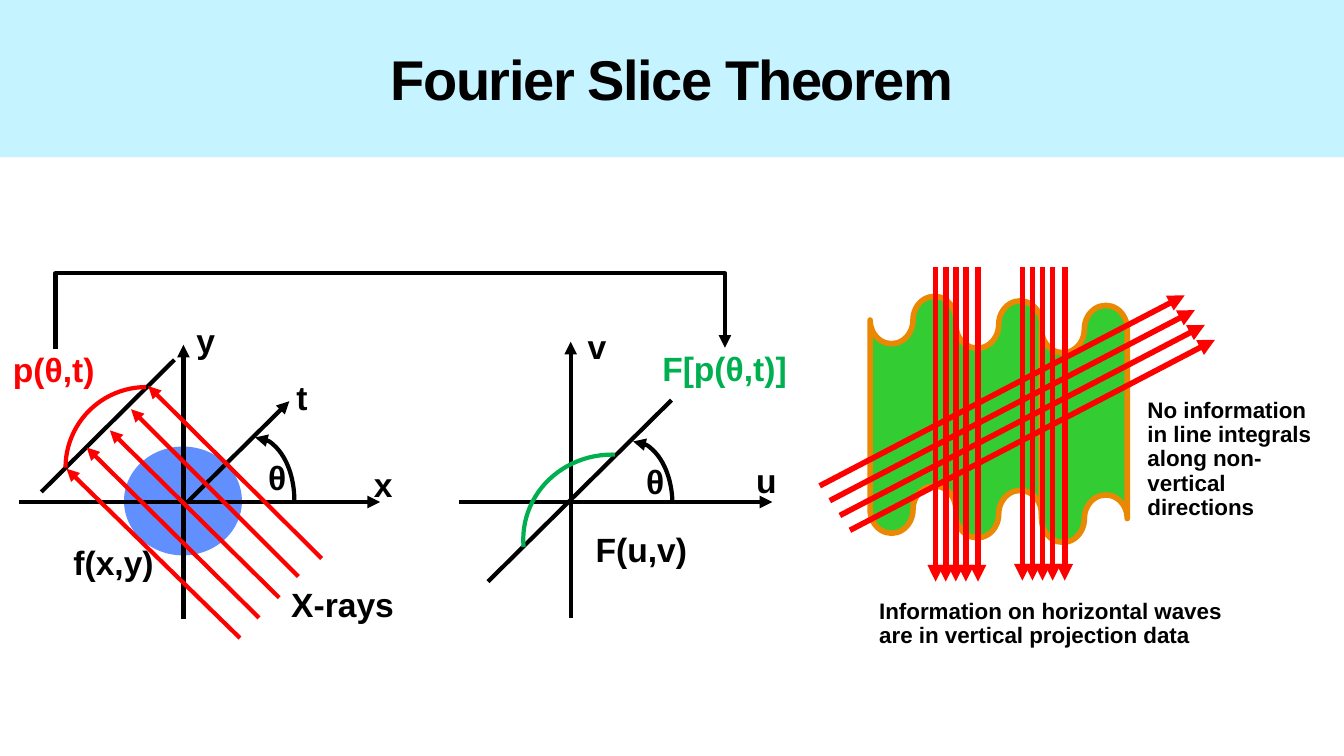
from lxml import etree
from pptx import Presentation
from pptx import util as u
from pptx.dml.color import RGBColor
from pptx.enum import shapes, text
from pptx.oxml.ns import qn

BLACK = RGBColor(0x00, 0x00, 0x00)
RED = RGBColor(0xFF, 0x00, 0x00)
GREEN = RGBColor(0x00, 0xB0, 0x50)
BLUE = RGBColor(0x61, 0x8F, 0xFD)
BAND = RGBColor(0xC5, 0xF3, 0xFF)
TAPE_FILL = RGBColor(0x33, 0xCC, 0x33)
TAPE_EDGE = RGBColor(0xEB, 0x88, 0x03)

# Content: labels are (text, left, top, width, colour)
TITLE = "Fourier Slice Theorem"
LABELS = [
    ("v", 5.73, 3.23, 0.39, BLACK),
    ("u", 7.4, 4.56, 0.41, BLACK),
    ("θ", 6.31, 4.57, 0.38, BLACK),
    ("F(u,v)", 5.81, 5.24, 1.12, BLACK),
    ("F[p(θ,t)]", 6.47, 3.45, 1.45, GREEN),
    ("p(θ,t)", 0.03, 3.46, 1.02, RED),
    ("f(x,y)", 0.63, 5.37, 1.0, BLACK),
    ("t", 2.84, 3.74, 0.31, BLACK),
    ("θ", 2.56, 4.53, 0.38, BLACK),
    ("y", 1.85, 3.17, 0.39, BLACK),
    ("x", 3.61, 4.6, 0.39, BLACK),
    ("X-rays", 2.79, 5.79, 1.23, BLACK),
]
# Captions are (text, left, top, width, height)
CAPTIONS = [
    ("No information in line integrals along non-vertical directions",
     11.29, 3.92, 2.01, 0.81),
    ("Information on horizontal waves are in vertical projection data",
     8.63, 5.91, 3.8, 0.57),
]
# Lines are (start, end, arrow at end)
FREQUENCY_LINES = [
    ((4.55, 4.98), (7.66, 4.98), True),
    ((5.66, 6.13), (5.66, 3.39), True),
    ((4.84, 5.77), (6.66, 3.97), False),
]
SPACE_LINES = [
    ((0.19, 4.98), (3.77, 4.98), True),
    ((1.82, 6.14), (1.82, 3.42), True),
    ((1.85, 4.99), (2.87, 3.98), True),
    ((1.73, 3.57), (0.41, 4.88), False),
]
XRAYS = [
    ((3.19, 5.54), (1.47, 3.83)),
    ((2.96, 5.72), (1.3, 4.06)),
    ((2.77, 5.93), (1.09, 4.27)),
    ((2.57, 6.13), (0.86, 4.44)),
    ((2.38, 6.33), (0.66, 4.65)),
]
# Arcs are (centre x, centre y, x radius, y radius, from, to, colour, arrow)
ARCS = [
    (6.28, 5.01, 0.39, 0.63, 270, 354, BLACK, True),
    (6.07, 5.35, 0.88, 0.84, 175, 272, GREEN, False),
    (1.45, 4.64, 0.8, 0.8, 180, 270, RED, False),
    (2.53, 4.97, 0.39, 0.63, 270, 0, BLACK, True),
]
TAPE_COUNT, TAPE_WIDTH, TAPE_HEIGHT, TAPE_DROP = 3, 0.85, 2.35, 0.045
RAY_OFFSETS = (0, 0.1, 0.2, 0.3, 0.42)
RAY_BUNDLES = [(9.28, 5.77), (10.14, 5.76)]  # first x, tip y
SLANTED_COUNT = 4

deck = Presentation()
deck.slide_width, deck.slide_height = u.Inches(13.33), u.Inches(7.5)
page = deck.slides.add_slide(deck.slide_layouts[5])


def inches(*values):
    return [u.Inches(value) for value in values]


def set_all(target, values):
    for name, value in values.items():
        setattr(target, name, value)


def style_line(item, colour, points, arrow=None):
    item.line.color.rgb = colour
    item.line.width = u.Pt(points)
    if arrow:
        etree.SubElement(item.line._get_or_add_ln(), qn(f"a:{arrow}End"), type="triangle")


def add_line(start, end, colour=BLACK, points=3, arrow=True,
             kind=shapes.MSO_CONNECTOR.STRAIGHT):
    line = page.shapes.add_connector(kind, *inches(*start, *end))
    style_line(line, colour, points, "tail" if arrow else None)
    etree.SubElement(line._element.spPr, qn("a:effectLst"))
    return line


def add_preset(kind, left, top, width, height, fill=None):
    shape = page.shapes.add_shape(kind, *inches(left, top, width, height))
    shape.shadow.inherit = False
    if fill is None:
        shape.fill.background()
    else:
        shape.fill.solid()
        shape.fill.fore_color.rgb = fill
    return shape


def write(frame, words, size, colour=BLACK, **layout):
    para = frame.paragraphs[0]
    set_all(para, layout)
    span = para.add_run()
    span.text = words
    set_all(span.font, {"size": u.Pt(size), "bold": True, "name": "Arial"})
    span.font.color.rgb = colour
    return span


def add_text(words, place, size, colour, wrap, side, edge):
    box = page.shapes.add_textbox(*inches(*place))
    set_all(box.text_frame, {
        "word_wrap": wrap,
        "auto_size": text.MSO_AUTO_SIZE.SHAPE_TO_FIT_TEXT,
        "margin_left": u.Inches(side), "margin_right": u.Inches(side),
        "margin_top": u.Inches(edge), "margin_bottom": u.Inches(edge),
    })
    write(box.text_frame, words, size, colour, line_spacing=0.9)


# Title band
title = page.shapes.title
set_all(title, dict(zip(("left", "top", "width", "height"), inches(0, 0, 13.33, 1.56))))
title.fill.solid()
title.fill.fore_color.rgb = BAND
title.text_frame.vertical_anchor = text.MSO_ANCHOR.MIDDLE
heading = write(title.text_frame, TITLE, 40, alignment=text.PP_ALIGN.CENTER)
heading.font._element.set("spc", "-100")

# Object and frequency planes
disc = add_preset(shapes.MSO_SHAPE.OVAL, 1.23, 4.43, 1.17, 1.08, BLUE)
disc.line.fill.background()
for start, end, arrow in FREQUENCY_LINES + SPACE_LINES:
    add_line(start, end, arrow=arrow)
for x, y, rx, ry, first, last, colour, arrow in ARCS:
    arc = add_preset(shapes.MSO_SHAPE.ARC, x - rx, y - ry, 2 * rx, 2 * ry)
    for index, degrees in enumerate((first, last)):
        arc.adjustments[index] = degrees * 0.6  # 60000 units per degree
    style_line(arc, colour, 3, "head" if arrow else None)
for source, tip in XRAYS:
    add_line(source, tip, RED)

# Bent arrow from projection to its transform, turned a quarter
mid_x, mid_y, half_span, drop, rise = 3.87, 3.455, 3.32, 0.01, 0.76
bent = add_line((mid_x + drop / 2, mid_y + half_span), (mid_x - drop / 2, mid_y - half_span),
                kind=shapes.MSO_CONNECTOR.ELBOW)
bent._element.spPr.find(qn("a:xfrm")).set("rot", "5400000")
guides = bent._element.spPr.find(qn("a:prstGeom")).find(qn("a:avLst"))
etree.SubElement(guides, qn("a:gd"), name="adj1", fmla=f"val {round(rise / drop * 100000)}")

# Wavy object crossed by rays
for i in range(TAPE_COUNT):
    tape = add_preset(shapes.MSO_SHAPE.FLOWCHART_PUNCHED_TAPE, 8.63 + i * TAPE_WIDTH,
                      2.94 + i * TAPE_DROP, TAPE_WIDTH, TAPE_HEIGHT, TAPE_FILL)
    style_line(tape, TAPE_EDGE, 4)
for i in range(SLANTED_COUNT):
    x, y = 8.13 + 0.1 * i, 4.82 + 0.147 * i
    add_line((x, y), (x + 3.62, y - 1.89), RED, 4)
for first_x, tip_y in RAY_BUNDLES:
    for offset in RAY_OFFSETS:
        add_line((first_x + offset, 2.65), (first_x + offset, tip_y), RED, 4)

# Labels and captions
for words, left, top, width, colour in LABELS:
    add_text(words, (left, top, width, 0.46), 24, colour, False, 0.1, 0.05)
for words, *place in CAPTIONS:
    add_text(words, place, 16, BLACK, True, 0.09, 0.04)

deck.save("out.pptx")
